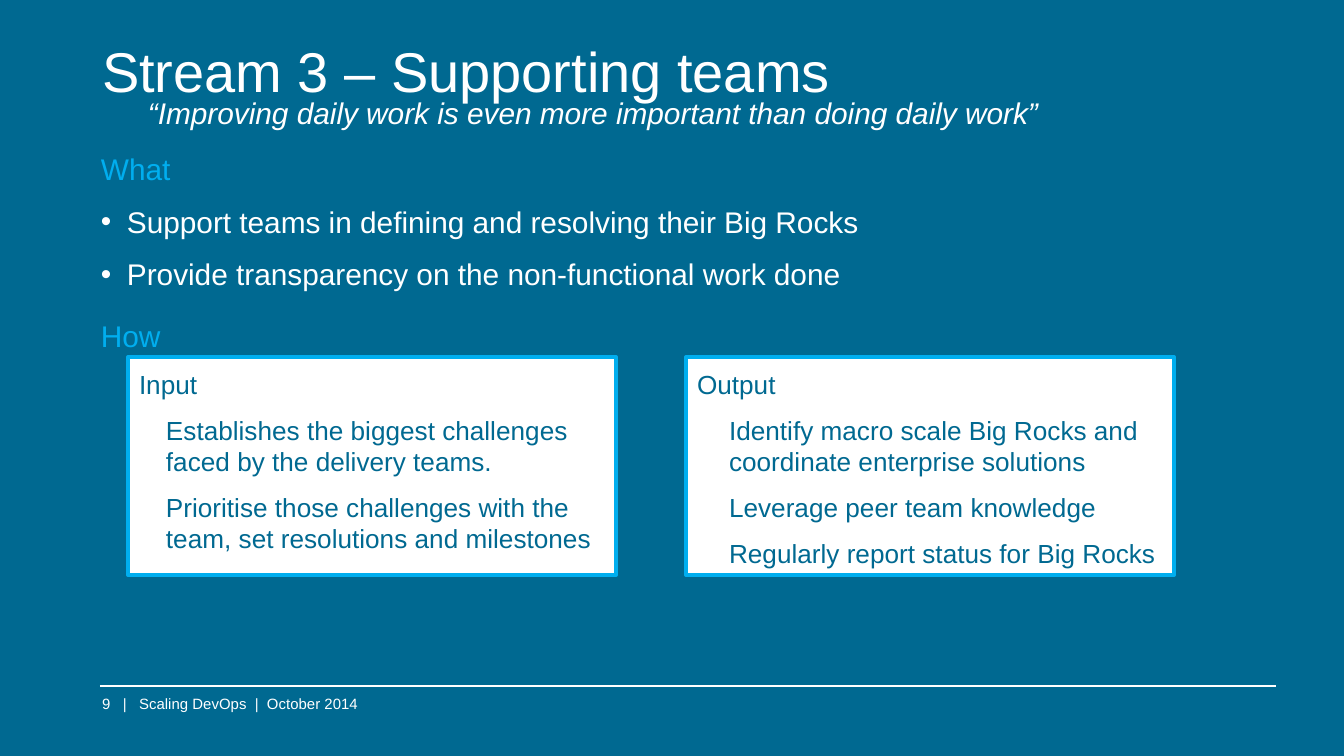
"""Build the slide on Stream 3, supporting teams."""
from lxml import etree
from pptx import Presentation
from pptx import util as u
from pptx.dml.color import RGBColor
from pptx.enum import shapes, text
from pptx.oxml import ns

PX = 914400 / 134.4
BLUE, CYAN, WHITE = "006991", "00AEEF", "FFFFFF"


def px(*lengths):
    return [u.Emu(round(length * PX)) for length in lengths]


def write(frame, lines, size, inset=0, anchor=text.MSO_ANCHOR.TOP):
    frame.word_wrap = True
    frame.vertical_anchor = anchor
    frame.margin_left, frame.margin_top, frame.margin_right, frame.margin_bottom = px(*[inset] * 4)
    for index, (wording, color, indent, bullet) in enumerate(lines):
        paragraph = frame.paragraphs[0] if index == 0 else frame.add_paragraph()
        paragraph.text = wording
        paragraph.alignment = text.PP_ALIGN.LEFT
        if index:
            paragraph.space_before = u.Pt(size * 0.56)
        properties = paragraph._p.get_or_add_pPr()
        properties.set("marL", str(px(indent)[0]))
        properties.set("indent", str(-px(indent)[0] if bullet else 0))
        if bullet:
            bullet_color = etree.SubElement(properties, ns.qn("a:buClr"))
            etree.SubElement(bullet_color, ns.qn("a:srgbClr"), val=color)
            etree.SubElement(properties, ns.qn("a:buFont"), typeface="Arial")
            etree.SubElement(properties, ns.qn("a:buChar"), char=bullet)
        font = paragraph.runs[0].font
        font.name, font.size = "Arial", u.Pt(size)
        font.color.rgb = RGBColor.from_string(color)


deck = Presentation()
deck.slide_width, deck.slide_height = px(1344, 756)
slide = deck.slides.add_slide(deck.slide_layouts[5])
slide.background.fill.solid()
slide.background.fill.fore_color.rgb = RGBColor.from_string(BLUE)

rule = slide.shapes.add_connector(shapes.MSO_CONNECTOR.STRAIGHT, *px(100, 686, 1276, 686))
rule.line.color.rgb = RGBColor.from_string(WHITE)
rule.line.width = u.Pt(1)
etree.SubElement(rule._element.spPr, ns.qn("a:effectLst"))

footer = slide.shapes.add_textbox(*px(102, 695, 649, 17))
write(footer.text_frame, [("9   |   Scaling DevOps  |  October 2014", WHITE, 0, "")], 8,
      anchor=text.MSO_ANCHOR.BOTTOM)

title = slide.shapes.title
title.left, title.top, title.width, title.height = px(102, 37, 1185, 67)
write(title.text_frame, [("Stream 3 – Supporting teams", WHITE, 0, "")], 30,
      anchor=text.MSO_ANCHOR.MIDDLE)

what = slide.shapes.add_textbox(*px(101, 151, 1124, 145))
write(what.text_frame, [
    ("What", CYAN, 0, ""),
    ("Support teams in defining and resolving their Big Rocks", WHITE, 26, "•"),
    ("Provide transparency on the non-functional work done", WHITE, 26, "•"),
], 16)

how = slide.shapes.add_textbox(*px(101, 318, 1124, 36))
write(how.text_frame, [("How", CYAN, 0, "")], 16)

panels = [
    (128, "Input", 27, [
        "Establishes the biggest challenges faced by the delivery teams.",
        "Prioritise those challenges with the team, set resolutions and milestones",
    ]),
    (686, "Output", 32, [
        "Identify macro scale Big Rocks and coordinate enterprise solutions",
        "Leverage peer team knowledge",
        "Regularly report status for Big Rocks",
    ]),
]
for left, heading, indent, points in panels:
    panel = slide.shapes.add_shape(shapes.MSO_SHAPE.RECTANGLE, *px(left, 357, 488, 218))
    panel.shadow.inherit = False
    panel.fill.solid()
    panel.fill.fore_color.rgb = RGBColor.from_string(WHITE)
    panel.line.color.rgb = RGBColor.from_string(CYAN)
    panel.line.width = u.Pt(2)
    lines = [(heading, BLUE, 0, "")] + [(point, BLUE, indent, "") for point in points]
    write(panel.text_frame, lines, 14, inset=11)

quote = slide.shapes.add_textbox(*px(148, 95, 1128, 36))
write(quote.text_frame,
      [("“Improving daily work is even more important than doing daily work”", WHITE, 0, "")], 16)
quote.text_frame.paragraphs[0].runs[0].font.italic = True

deck.save("out.pptx")
